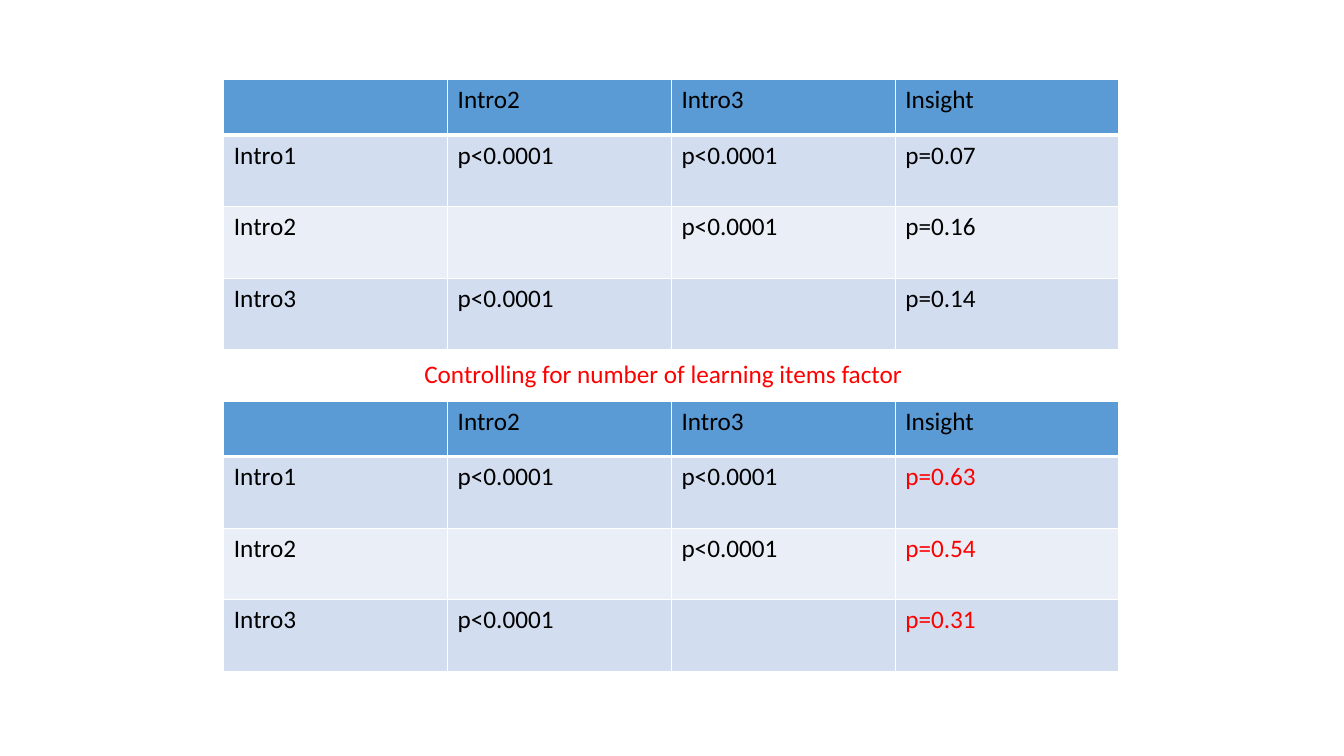
from dataclasses import dataclass

from lxml.etree import SubElement
from pptx import Presentation
from pptx.dml.color import RGBColor as Rgb
from pptx.oxml.ns import qn
from pptx.util import Inches, Pt

HEADER = ["", "Intro2", "Intro3", "Insight"]
COMPARISONS = [
    ["Intro1", "p<0.0001", "p<0.0001"],
    ["Intro2", "", "p<0.0001"],
    ["Intro3", "p<0.0001", ""],
]
CAPTION = "Controlling for number of learning items factor"


@dataclass(frozen=True)
class Theme:
    """Colours, font and sizes used on the slide."""

    font: str = "Calibri"
    size: int = 18
    text: str = "000000"
    accent: str = "FF0000"
    header: str = "5B9BD5"
    bands: tuple = ("D2DEEF", "EAEFF7")
    border: str = "FFFFFF"
    thin: int = 1
    thick: int = 3


THEME = Theme()
TABLES = [
    {"top": 0.79, "insight": ["p=0.07", "p=0.16", "p=0.14"], "color": THEME.text},
    {"top": 3.98, "insight": ["p=0.63", "p=0.54", "p=0.31"], "color": THEME.accent},
]
TABLE_LEFT, COLUMN_WIDTH = 2.22, 2.22
HEADER_HEIGHT, BODY_HEIGHT = 0.55, 0.71


def add_text(text_frame, text, color):
    """Write one formatted run into the first paragraph."""
    run = text_frame.paragraphs[0].add_run()
    run.text = text
    run.font.name = THEME.font
    run.font.size = Pt(THEME.size)
    run.font.bold = False
    run.font.color.rgb = Rgb.from_string(color)


def add_borders(cell, row):
    """Draw the cell borders, thick along the edge under the header."""
    widths = {
        "a:lnL": THEME.thin,
        "a:lnR": THEME.thin,
        "a:lnT": THEME.thick if row == 1 else THEME.thin,
        "a:lnB": THEME.thick if row == 0 else THEME.thin,
    }
    properties = cell._tc.get_or_add_tcPr()
    for tag, width in widths.items():
        line = SubElement(properties, qn(tag), w=str(Pt(width)))
        fill = SubElement(line, qn("a:solidFill"))
        SubElement(fill, qn("a:srgbClr"), val=THEME.border)


def add_comparison_table(slide, top, insight, color):
    """Add one table of p-values with its own Insight column."""
    rows = [HEADER] + [row + [value] for row, value in zip(COMPARISONS, insight)]
    heights = [HEADER_HEIGHT] + [BODY_HEIGHT] * len(COMPARISONS)
    table = slide.shapes.add_table(
        len(rows), len(HEADER), Inches(TABLE_LEFT), Inches(top),
        Inches(COLUMN_WIDTH * len(HEADER)), Inches(sum(heights)),
    ).table
    for column in table.columns:
        column.width = Inches(COLUMN_WIDTH)
    for r, (values, height) in enumerate(zip(rows, heights)):
        table.rows[r].height = Inches(height)
        background = THEME.bands[(r - 1) % 2] if r else THEME.header
        for c, value in enumerate(values):
            cell = table.cell(r, c)
            add_borders(cell, r)
            cell.fill.solid()
            cell.fill.fore_color.rgb = Rgb.from_string(background)
            is_insight = r > 0 and c == len(HEADER) - 1
            if value:
                add_text(cell.text_frame, value, color if is_insight else THEME.text)


def main():
    """Build the slide and save it."""
    presentation = Presentation()
    presentation.slide_width = Inches(13.33)
    presentation.slide_height = Inches(7.5)
    slide = presentation.slides.add_slide(presentation.slide_layouts[6])
    for table in TABLES:
        add_comparison_table(slide, **table)
    caption = slide.shapes.add_textbox(Inches(4.11), Inches(3.51), Inches(8.91), Inches(0.4))
    caption.text_frame.word_wrap = True
    add_text(caption.text_frame, CAPTION, THEME.accent)
    presentation.save("out.pptx")


if __name__ == "__main__":
    main()
